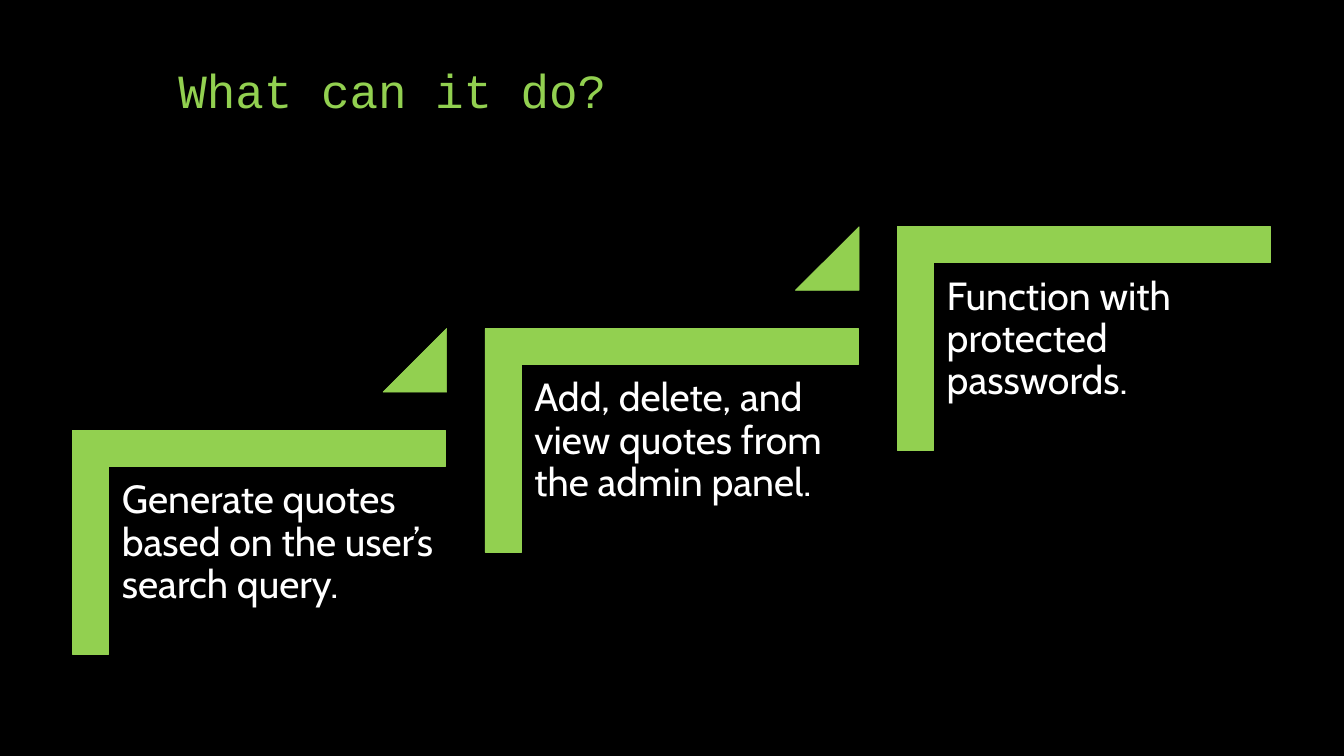
from pptx import Presentation
from pptx import util as u
from pptx.dml.color import RGBColor
from pptx.enum import shapes, text

TITLE = "What can it do?"
STEPS = [
    "Generate quotes based on the user’s search query.",
    "Add, delete, and view quotes from the admin panel.",
    "Function with protected passwords.",
]
COLORS = {"back": "000000", "accent": "92D050", "body": "FFFFFF"}
TITLE_FONT = {"name": "Courier New", "size": u.Pt(34)}
BODY_FONT = {"name": "Cabin", "size": u.Pt(28)}

# Staircase, in inches: each step moves right and up by the same amount
STEP_X, STEP_Y = 4.09, -1.01
CORNER = (1.46, 3.53, 2.22, 3.7)
LABEL = (1.09, 4.64, 3.34, 2.93)
TRIANGLE = (3.8, 3.26, 0.63, 0.63)
INSET = 0.12


def color(name):
    return RGBColor.from_string(COLORS[name])


def place(box, step):
    """Return the box of the first step moved to the given step."""
    x, y, w, h = box
    return [u.Inches(v) for v in (x + step * STEP_X, y + step * STEP_Y, w, h)]


def write(tf, words, font, color_name):
    tf.word_wrap = True
    tf.auto_size = text.MSO_AUTO_SIZE.NONE
    p = tf.paragraphs[0]
    p.alignment = text.PP_ALIGN.LEFT
    p.line_spacing = 0.9
    r = p.add_run()
    r.text = words
    for key, value in font.items():
        setattr(r.font, key, value)
    r.font.color.rgb = color(color_name)


def add_accent(s, kind, box, adjustments, rotation=0):
    sp = s.shapes.add_shape(kind, *box)
    sp.shadow.inherit = False
    sp.rotation = rotation
    for i, value in enumerate(adjustments):
        sp.adjustments[i] = value
    sp.fill.solid()
    sp.fill.fore_color.rgb = color("accent")
    sp.line.color.rgb = color("accent")
    sp.line.width = u.Pt(0.5)


def add_label(s, words, box):
    tf = s.shapes.add_textbox(*box).text_frame
    for side in ("left", "top", "right", "bottom"):
        setattr(tf, f"margin_{side}", u.Inches(INSET))
    write(tf, words, BODY_FONT, "body")


def main():
    prs = Presentation()
    prs.slide_width, prs.slide_height = u.Inches(13.33), u.Inches(7.5)
    s = prs.slides.add_slide(prs.slide_layouts.get_by_name("Title Only"))
    s.background.fill.solid()
    s.background.fill.fore_color.rgb = color("back")

    title = s.shapes.title
    title.left, title.top = u.Inches(1.67), u.Inches(0.5)
    title.width, title.height = u.Inches(10), u.Inches(0.73)
    title.text_frame.vertical_anchor = text.MSO_ANCHOR.BOTTOM
    write(title.text_frame, TITLE, TITLE_FONT, "accent")

    kinds = shapes.MSO_SHAPE
    for step, words in enumerate(STEPS):
        add_accent(s, kinds.CORNER, place(CORNER, step), (0.161, 0.161), 90)
        add_label(s, words, place(LABEL, step))
        if step < len(STEPS) - 1:
            add_accent(s, kinds.ISOSCELES_TRIANGLE, place(TRIANGLE, step), (1,))

    prs.save("out.pptx")


if __name__ == "__main__":
    main()
